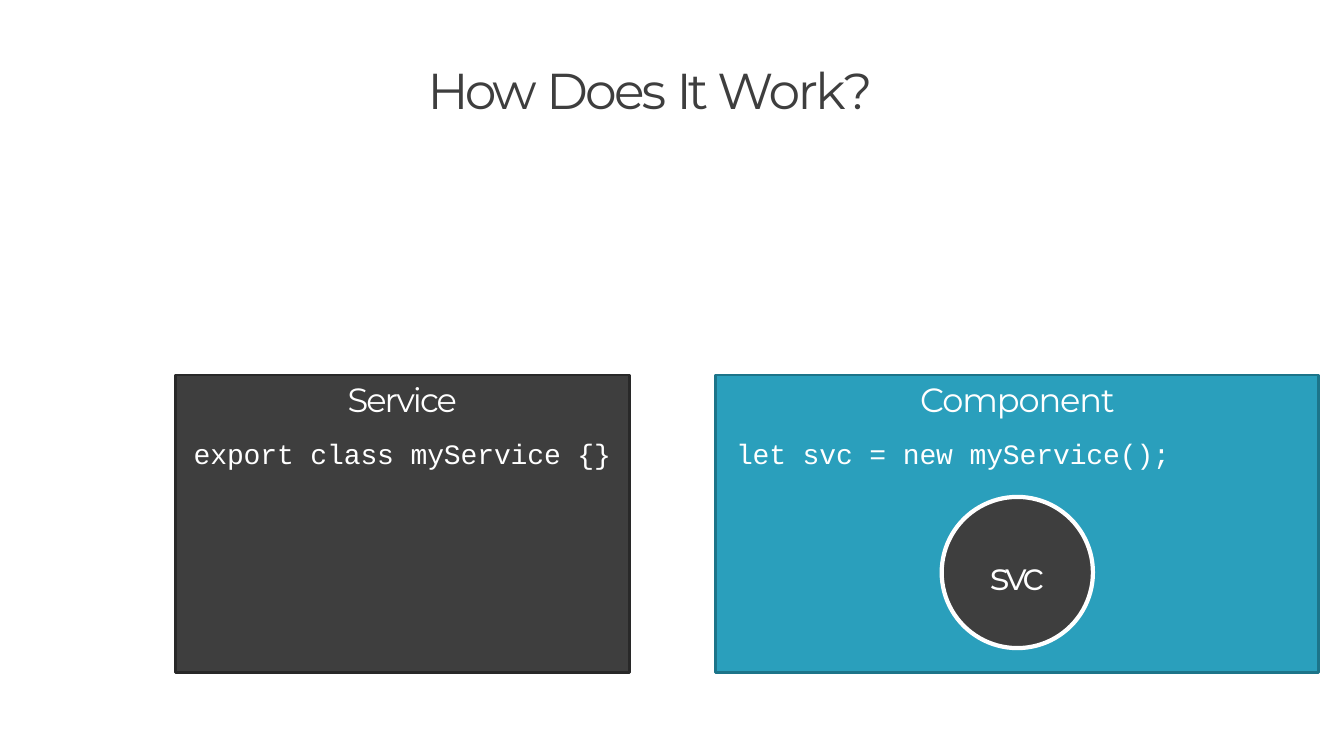
from pptx import Presentation
from pptx.dml.color import RGBColor
from pptx.enum.shapes import MSO_SHAPE
from pptx.enum.text import MSO_ANCHOR, MSO_AUTO_SIZE, PP_ALIGN
from pptx.util import Inches, Pt

RECTANGLE, OVAL = MSO_SHAPE.RECTANGLE, MSO_SHAPE.OVAL
TOP, MIDDLE = MSO_ANCHOR.TOP, MSO_ANCHOR.MIDDLE
LEFT, CENTER = PP_ALIGN.LEFT, PP_ALIGN.CENTER
NO_AUTOFIT = MSO_AUTO_SIZE.NONE

WHITE = RGBColor(0xFF, 0xFF, 0xFF)
CHARCOAL = RGBColor(0x3E, 0x3E, 0x3E)
DARK_EDGE = RGBColor(0x28, 0x28, 0x28)
TEAL = RGBColor(0x2A, 0x9F, 0xBC)
TEAL_EDGE = RGBColor(0x1C, 0x74, 0x89)

HEADING_FONT = "Montserrat"
CODE_FONT = "Courier New"
PANEL_TOP, PANEL_HEIGHT = 3.72, 2.95


def set_frame(frame, anchor, top_inset):
    frame.word_wrap = True
    frame.auto_size = NO_AUTOFIT
    frame.vertical_anchor = anchor
    frame.margin_left = frame.margin_right = frame.margin_bottom = 0
    frame.margin_top = Inches(top_inset)


def write(para, spans, size, font=HEADING_FONT, color=WHITE, align=CENTER):
    """Fill a paragraph with (text, letter spacing in points) spans."""
    para.alignment = align
    para.font.name = font
    para.font.size = Pt(size)
    para.font.color.rgb = color
    for text, spacing in spans:
        run = para.add_run()
        run.text = text
        run._r.get_or_add_rPr().set("spc", str(round(spacing * 100)))


def add_filled_shape(slide, kind, bounds, fill, edge, edge_width):
    shape = slide.shapes.add_shape(kind, *(Inches(length) for length in bounds))
    shape.shadow.inherit = False
    shape.fill.solid()
    shape.fill.fore_color.rgb = fill
    shape.line.color.rgb = edge
    shape.line.width = Pt(edge_width)
    return shape


def add_panel(slide, left, width, colors, heading, code, align, indent=0):
    bounds = (left, PANEL_TOP, width, PANEL_HEIGHT)
    panel = add_filled_shape(slide, RECTANGLE, bounds, *colors, 2.04)
    frame = panel.text_frame
    set_frame(frame, TOP, 0.04)
    write(frame.paragraphs[0], [heading], 24)
    code_line = frame.add_paragraph()
    code_line._p.get_or_add_pPr().set("marL", str(Inches(indent)))
    code_line.space_before = Pt(12.4)
    write(code_line, [(code, -0.1)], 20, CODE_FONT, align=align)


def add_title(slide, spans):
    title = slide.shapes.title
    title.left, title.top = Inches(4.24), Inches(0.57)
    title.width, title.height = Inches(4.77), Inches(0.63)
    set_frame(title.text_frame, TOP, 0.02)
    write(title.text_frame.paragraphs[0], spans, 36, color=CHARCOAL, align=LEFT)


def main():
    deck = Presentation()
    deck.slide_width, deck.slide_height = Inches(13.33), Inches(7.5)
    slide = deck.slides.add_slide(deck.slide_layouts[5])

    add_title(slide, [("How ", -2.5), ("Does ", -2), ("It ", -2.9), ("Work?", -1.6)])

    # Service and the component that creates it
    add_panel(slide, 1.74, 4.5, (CHARCOAL, DARK_EDGE), ("Service", -1.4),
              "export class myService {}", CENTER)
    add_panel(slide, 7.1, 5.98, (TEAL, TEAL_EDGE), ("Component", -0.8),
              "let svc = new myService();", LEFT, indent=0.2)

    # Service instance inside the component
    instance = add_filled_shape(slide, OVAL, (9.34, 4.93, 1.5, 1.5), CHARCOAL, WHITE, 3)
    set_frame(instance.text_frame, MIDDLE, 0.04)
    write(instance.text_frame.paragraphs[0], [("svc", -2.5)], 28)

    deck.save("out.pptx")


if __name__ == "__main__":
    main()
